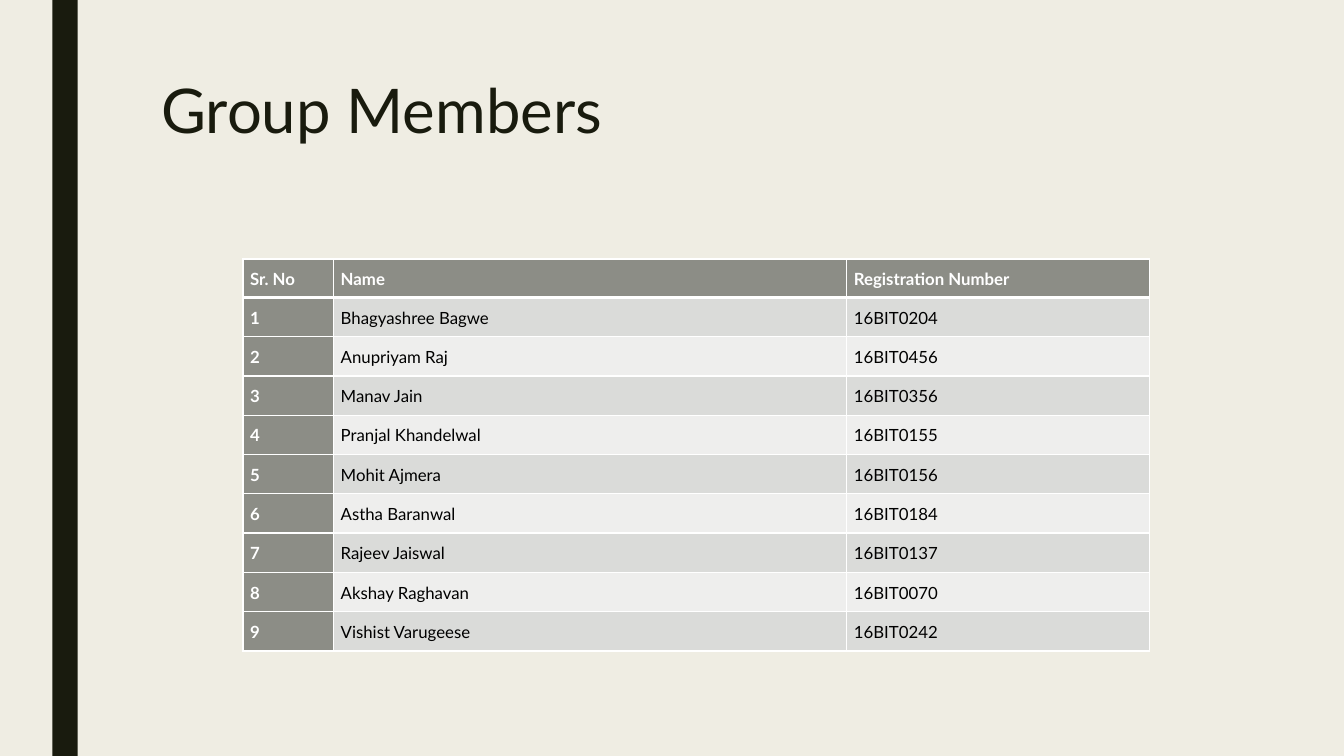
from dataclasses import dataclass

from lxml.etree import SubElement
from pptx import Presentation
from pptx.dml.color import RGBColor
from pptx.enum.shapes import MSO_SHAPE
from pptx.enum.text import MSO_ANCHOR, PP_ALIGN
from pptx.oxml.ns import qn
from pptx.util import Inches, Pt


@dataclass(frozen=True)
class Theme:
    font: str = "Lato"
    title_size: int = 44
    table_size: int = 12
    background: str = "EFEDE3"
    dark: str = "191B0E"
    heading_fill: str = "8C8D86"
    heading_text: str = "FFFFFF"
    body_text: str = "000000"
    bands: tuple = ("DADBD9", "EEEEED")
    border: str = "FFFFFF"


theme = Theme()


def style_font(paragraph, size, color, bold=False):
    font = paragraph.font
    font.name = theme.font
    font.size = Pt(size)
    font.bold = bold
    font.color.rgb = RGBColor.from_string(color)


def add_cell_borders(cell, bottom_width):
    properties = cell._tc.get_or_add_tcPr()
    for side, width in (("L", 1), ("R", 1), ("T", 1), ("B", bottom_width)):
        border = SubElement(properties, qn(f"a:ln{side}"), w=str(Pt(width)))
        fill = SubElement(border, qn("a:solidFill"))
        SubElement(fill, qn("a:srgbClr"), val=theme.border)


prs = Presentation()
prs.slide_width = Inches(13.33)
prs.slide_height = Inches(7.5)
slide = prs.slides.add_slide(prs.slide_layouts[5])
slide.background.fill.solid()
slide.background.fill.fore_color.rgb = RGBColor.from_string(theme.background)

side_bar = slide.shapes.add_shape(
    MSO_SHAPE.RECTANGLE, Inches(0.52), 0, Inches(0.25), prs.slide_height
)
side_bar.shadow.inherit = False
side_bar.fill.solid()
side_bar.fill.fore_color.rgb = RGBColor.from_string(theme.dark)
side_bar.line.fill.background()

title = slide.shapes.title
title.left, title.top = Inches(1.5), Inches(0.75)
title.width, title.height = Inches(10.5), Inches(1.62)
title.text_frame.text = "Group Members"
title.text_frame.vertical_anchor = MSO_ANCHOR.TOP
heading = title.text_frame.paragraphs[0]
heading.alignment = PP_ALIGN.LEFT
heading.line_spacing = 0.89
style_font(heading, theme.title_size, theme.dark)

members = [
    ("Bhagyashree Bagwe", "16BIT0204"),
    ("Anupriyam Raj", "16BIT0456"),
    ("Manav Jain", "16BIT0356"),
    ("Pranjal Khandelwal", "16BIT0155"),
    ("Mohit Ajmera", "16BIT0156"),
    ("Astha Baranwal", "16BIT0184"),
    ("Rajeev Jaiswal", "16BIT0137"),
    ("Akshay Raghavan", "16BIT0070"),
    ("Vishist Varugeese", "16BIT0242"),
]
rows = [("Sr. No", "Name", "Registration Number")]
rows += [(str(number), *member) for number, member in enumerate(members, 1)]

member_table = slide.shapes.add_table(
    len(rows), 3, Inches(2.41), Inches(2.57), Inches(8.99), Inches(3.9)
).table
member_table.first_col = True
member_table.horz_banding = False
for column, width in zip(member_table.columns, (0.9, 5.09, 3)):
    column.width = Inches(width)

for row_index, row in enumerate(rows):
    is_header = row_index == 0
    member_table.rows[row_index].height = Inches(0.38 if is_header else 0.39)
    for column_index, text in enumerate(row):
        is_heading = is_header or column_index == 0
        cell = member_table.cell(row_index, column_index)
        cell.text = text
        cell.margin_left = cell.margin_right = Inches(0.07)
        cell.margin_top = cell.margin_bottom = 0
        add_cell_borders(cell, 3 if is_header else 1)
        cell.fill.solid()
        cell.fill.fore_color.rgb = RGBColor.from_string(
            theme.heading_fill if is_heading else theme.bands[(row_index - 1) % 2]
        )
        paragraph = cell.text_frame.paragraphs[0]
        paragraph.line_spacing = 1.5
        style_font(
            paragraph,
            theme.table_size,
            theme.heading_text if is_heading else theme.body_text,
            is_heading,
        )

prs.save("out.pptx")
